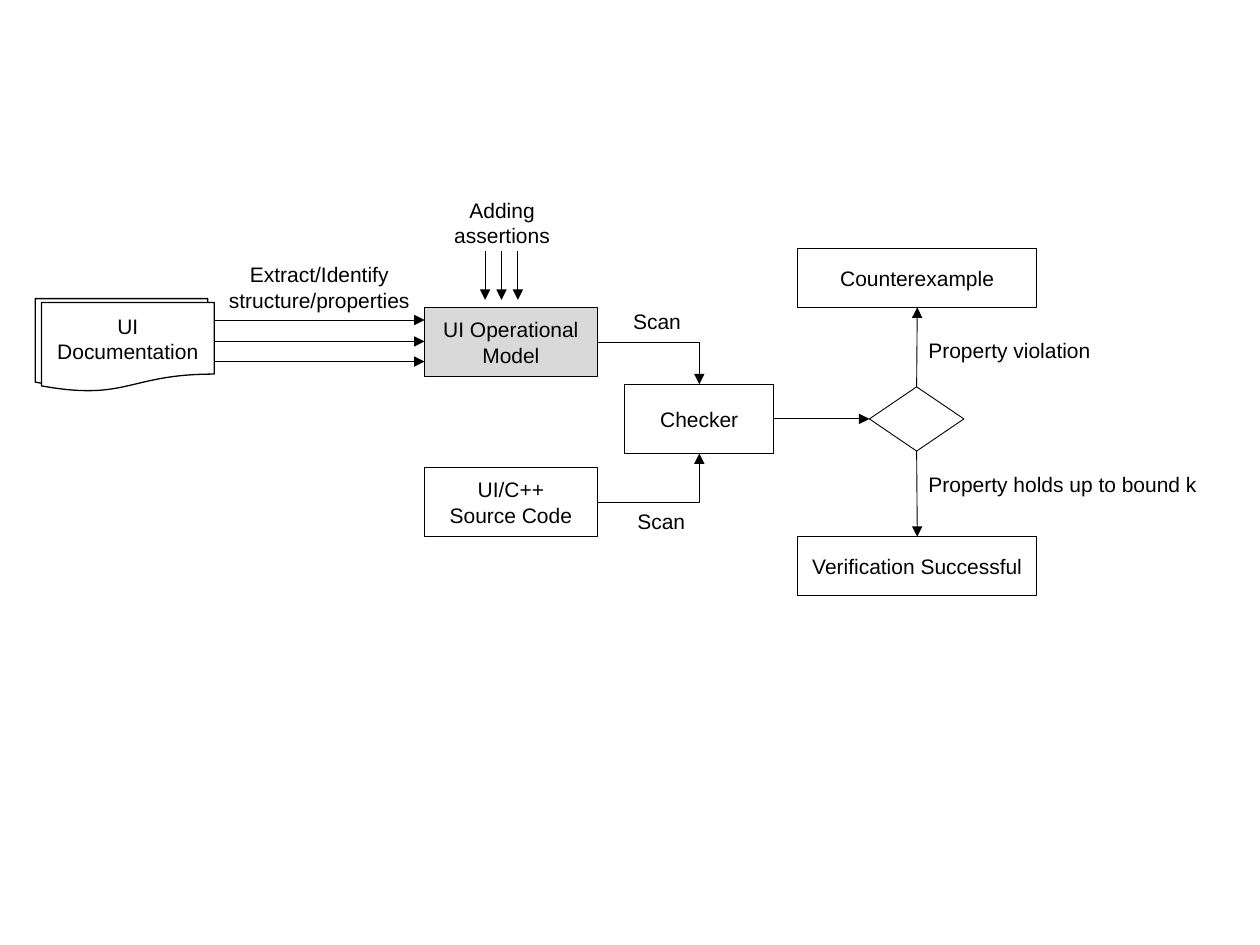
import pptx
import pptx.util
from dataclasses import dataclass
from pptx.dml.color import RGBColor
from pptx.enum.shapes import MSO_CONNECTOR, MSO_SHAPE
from pptx.enum.text import MSO_ANCHOR, MSO_AUTO_SIZE, PP_ALIGN
from pptx.oxml.ns import qn

Inches, Pt = pptx.util.Inches, pptx.util.Pt


@dataclass(frozen=True)
class Theme:
    font: str = "Arial"
    size: int = 12
    ink: str = "000000"
    paper: str = "FFFFFF"
    accent: str = "D9D9D9"
    thin: float = 0.5
    outline: float = 0.75


theme = Theme()
PROCESS = MSO_SHAPE.FLOWCHART_PROCESS
DECISION = MSO_SHAPE.FLOWCHART_DECISION
DOCUMENT = MSO_SHAPE.FLOWCHART_DOCUMENT
TOP, LEFT, BOTTOM, RIGHT = range(4)  # connection sites

# Content: name -> (preset, paragraphs, left, top, width, height, fill, line width)
nodes = {
    "back page": (DOCUMENT, [], 0.28, 2.37, 1.37, 0.71, theme.paper, theme.outline),
    "documentation": (DOCUMENT, ["UI Documentation"], 0.33, 2.4, 1.37, 0.71,
                      theme.paper, theme.outline),
    "model": (PROCESS, ["UI Operational Model"], 3.37, 2.44, 1.37, 0.55,
              theme.accent, theme.thin),
    "source": (PROCESS, ["UI/C++", "Source Code"], 3.37, 3.71, 1.37, 0.55,
               theme.paper, theme.thin),
    "checker": (PROCESS, ["Checker"], 4.96, 3.05, 1.18, 0.55, theme.paper, theme.thin),
    "decision": (DECISION, [], 6.9, 3.07, 0.75, 0.51, theme.paper, theme.thin),
    "violation": (PROCESS, ["Counterexample"], 6.33, 1.97, 1.9, 0.47,
                  theme.paper, theme.thin),
    "success": (PROCESS, ["Verification Successful"], 6.33, 4.26, 1.9, 0.47,
                theme.paper, theme.thin),
}

# (from, site, to, site)
links = [
    ("model", RIGHT, "checker", TOP),
    ("source", RIGHT, "checker", BOTTOM),
    ("checker", RIGHT, "decision", LEFT),
    ("decision", TOP, "violation", BOTTOM),
    ("decision", BOTTOM, "success", TOP),
]

# Free arrows: x1, y1, x2, y2
assertion_arrows = [(x, 1.99, x, 2.38) for x in (3.85, 3.98, 4.11)]
extract_arrows = [(1.7, y, 3.37, y) for y in (2.54, 2.71, 2.87)]

# (text, left, top, width, height, wrapped and centred)
labels = [
    ("Extract/Identify structure/properties", 1.7, 2.03, 1.67, 0.5, True),
    ("Adding assertions", 3.23, 1.52, 1.51, 0.5, True),
    ("Scan", 4.56, 2.4, 1.31, 0.3, True),
    ("Scan", 4.96, 3.99, 0.59, 0.3, False),
    ("Property violation", 7.27, 2.63, 1.5, 0.3, False),
    ("Property holds up to bound k", 7.27, 3.69, 2.35, 0.3, False),
]


def color(code):
    return RGBColor.from_string(code)


def write(tf, lines, align):
    for i, line in enumerate(lines):
        p = tf.paragraphs[0] if i == 0 else tf.add_paragraph()
        p.text = line
        p.alignment = align
        p.font.name = theme.font
        p.font.size = Pt(theme.size)
        p.font.color.rgb = color(theme.ink)


def add_node(slide, preset, lines, left, top, width, height, fill, weight):
    sp = slide.shapes.add_shape(preset, *map(Inches, (left, top, width, height)))
    sp.shadow.inherit = False
    sp.fill.solid()
    sp.fill.fore_color.rgb = color(fill)
    sp.line.color.rgb = color(theme.ink)
    sp.line.width = Pt(weight)
    sp.text_frame.word_wrap = True
    sp.text_frame.vertical_anchor = MSO_ANCHOR.MIDDLE
    write(sp.text_frame, lines, PP_ALIGN.CENTER)
    return sp


def add_arrow(slide, x1=0, y1=0, x2=0, y2=0, kind=MSO_CONNECTOR.STRAIGHT):
    cxn = slide.shapes.add_connector(kind, *map(Inches, (x1, y1, x2, y2)))
    cxn.line.color.rgb = color(theme.ink)
    cxn.line.width = Pt(theme.thin)
    ln = cxn.line._get_or_add_ln()
    ln.append(ln.makeelement(qn("a:tailEnd"), {"type": "triangle"}))
    sppr = cxn._element.spPr
    sppr.append(sppr.makeelement(qn("a:effectLst"), {}))
    return cxn


def add_link(slide, start, start_site, end, end_site):
    # A side-to-top or side-to-bottom link turns exactly once
    bent = start_site % 2 != end_site % 2
    kind = MSO_CONNECTOR.ELBOW if bent else MSO_CONNECTOR.STRAIGHT
    cxn = add_arrow(slide, kind=kind)
    cxn.begin_connect(start, start_site)
    cxn.end_connect(end, end_site)
    if bent:
        cxn._element.spPr.find(qn("a:prstGeom")).set("prst", "bentConnector2")


def add_label(slide, text, left, top, width, height, wrapped):
    tf = slide.shapes.add_textbox(*map(Inches, (left, top, width, height))).text_frame
    tf.word_wrap = wrapped
    tf.auto_size = MSO_AUTO_SIZE.SHAPE_TO_FIT_TEXT
    write(tf, [text], PP_ALIGN.CENTER if wrapped else PP_ALIGN.LEFT)


prs = pptx.Presentation()
prs.slide_width, prs.slide_height = Inches(10), Inches(7.5)
slide = prs.slides.add_slide(prs.slide_layouts[6])

# Boxes, then the arrows and labels over them
shapes = {name: add_node(slide, *node) for name, node in nodes.items()}
for start, start_site, end, end_site in links:
    add_link(slide, shapes[start], start_site, shapes[end], end_site)
for ends in assertion_arrows + extract_arrows:
    add_arrow(slide, *ends)
for label in labels:
    add_label(slide, *label)

prs.save("out.pptx")
